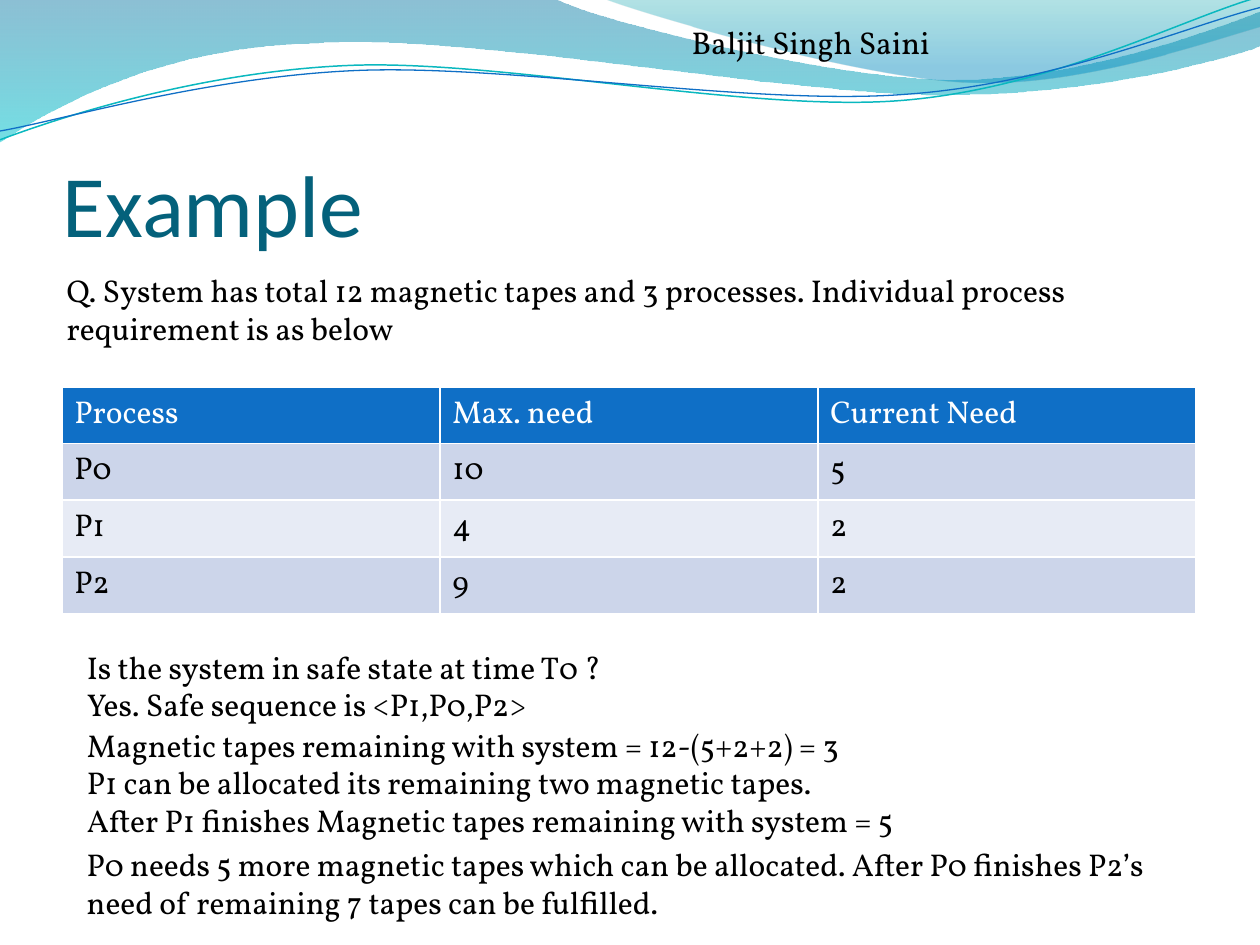
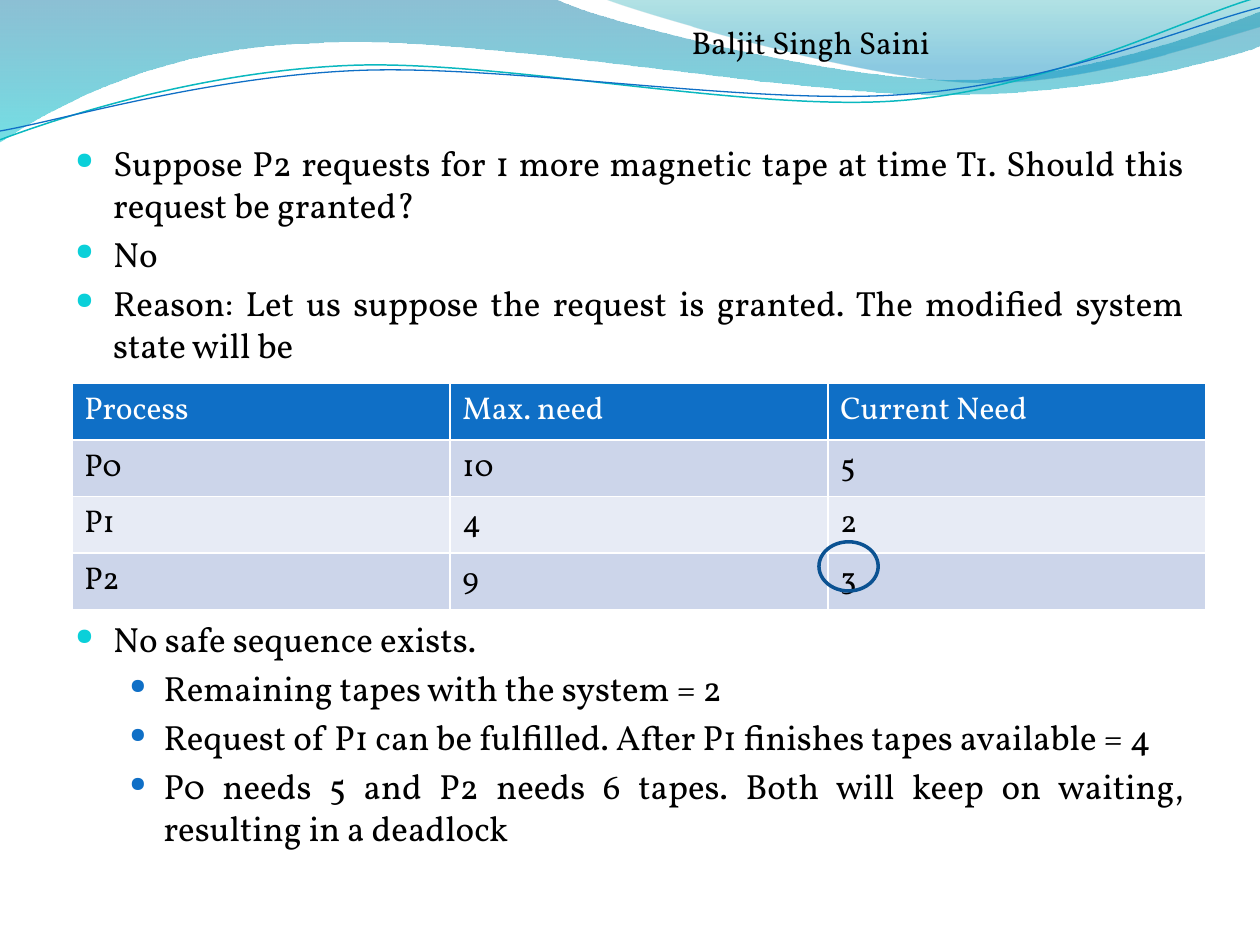
from dataclasses import dataclass

from lxml.etree import SubElement
from pptx import Presentation
from pptx.dml.color import RGBColor
from pptx.enum.shapes import MSO_SHAPE
from pptx.enum.text import MSO_ANCHOR, MSO_AUTO_SIZE, PP_ALIGN
from pptx.oxml.ns import qn
from pptx.util import Inches, Pt


@dataclass(frozen=True)
class Theme:
    heading_font: str = "Calibri"
    body_font: str = "Vollkorn"
    title_size: int = 50
    bullet_size: int = 20
    text_size: int = 18
    title: str = "04617B"
    text: str = "000000"
    header_text: str = "FFFFFF"
    header_fill: str = "0F6FC6"
    row_fills: tuple = ("CCD5EA", "E7EBF5")
    bullets: tuple = ("0BD0D9", "0F6FC6")
    ring: str = "0B5292"
    teal_line: str = "0AB8BF"
    blue_line: str = "0F6FC6"
    wide_band: tuple = ((0, "0074A1", 45), (1, "00C6CF", 55))
    right_band: tuple = ((0, "00A1A9", 30), (0.8, "008BBF", 45))


theme = Theme()


def add_run(paragraph, text, size, color=theme.text, font=theme.body_font):
    run = paragraph.add_run()
    run.text = text
    run.font.name = font
    run.font.size = Pt(size)
    run.font.bold = False
    run.font.color.rgb = RGBColor.from_string(color)


def add_text(slide, box, lines, size=theme.text_size, **style):
    frame = slide.shapes.add_textbox(*map(Inches, box)).text_frame
    frame.word_wrap = True
    frame.auto_size = MSO_AUTO_SIZE.SHAPE_TO_FIT_TEXT
    for index, line in enumerate(lines):
        paragraph = frame.add_paragraph() if index else frame.paragraphs[0]
        add_run(paragraph, line, size, **style)
    return frame


WAVES = [
    ([(0, 0), (4.4, -0.01),
      (4.76, 0.17, 6.64, 0.63, 7.58, 0.63),
      (8.53, 0.63, 9.58, 0.26, 10, 0.09),
      (10.01, 0.36),
      (9.83, 0.44, 8.7, 0.76, 7.46, 0.75),
      (6.22, 0.75, 3.82, 0.28, 2.57, 0.34),
      (1.29, 0.36, 0.46, 0.83, -0.01, 1.13)], theme.wide_band, None),
    ([(4.79, -0.01),
      (5.09, 0.11, 6.82, 0.62, 7.69, 0.65),
      (8.56, 0.69, 9.61, 0.32, 10, 0.21),
      (10, 0)], theme.right_band, None),
    ([(0, 1.11),
      (0.48, 0.93, 1.58, 0.57, 2.77, 0.52),
      (3.95, 0.47, 5.93, 0.89, 7.13, 0.8),
      (8.33, 0.71, 9.38, 0.15, 9.98, -0.02)], None, (theme.teal_line, 0.85)),
    ([(0, 1.04),
      (0.47, 0.96, 1.64, 0.61, 2.83, 0.56),
      (4.03, 0.51, 5.97, 0.84, 7.17, 0.75),
      (8.36, 0.67, 9.41, 0.21, 10, 0.06)], None, (theme.blue_line, 0.75)),
]

presentation = Presentation()
presentation.slide_width = Inches(10)
presentation.slide_height = Inches(7.5)
blank = presentation.slide_layouts[6]

slides = []
for table_left, table_top, p2_current in [(0.49, 3.07, "2"), (0.57, 3.04, "3")]:
    slide = presentation.slides.add_slide(blank)
    slides.append(slide)

    for segments, band, stroke in WAVES:
        corners = [(Inches(x), Inches(y)) for *_, x, y in segments]
        builder = slide.shapes.build_freeform(*corners[0])
        builder.add_line_segments(corners[1:], close=band is not None)
        wave = builder.convert_to_shape()
        wave.shadow.inherit = False
        for edge, segment in zip(list(wave.element.iter(qn("a:lnTo"))), segments[1:]):
            if len(segment) == 6:
                edge.tag = qn("a:cubicBezTo")
                edge.remove(edge[0])
                for x, y in zip(segment[::2], segment[1::2]):
                    SubElement(edge, qn("a:pt"), x=str(Inches(x) - wave.left),
                               y=str(Inches(y) - wave.top))
        if band:
            wave.line.fill.background()
            wave.fill.gradient()
            wave.fill.gradient_angle = 270
            for stop, (position, color, _) in zip(wave.fill.gradient_stops, band):
                stop.position = position
                stop.color.rgb = RGBColor.from_string(color)
            for node, (_, _, opacity) in zip(wave.element.iter(qn("a:srgbClr")), band):
                SubElement(node, qn("a:alpha"), val=str(opacity * 1000))
        else:
            wave.fill.background()
            wave.line.color.rgb = RGBColor.from_string(stroke[0])
            wave.line.width = Pt(stroke[1])

    add_text(slide, (5.39, 0.13, 4.41, 0.4), ["Baljit Singh Saini"])

    needs = [("Process", "Max. need", "Current Need"),
             ("P0", "10", "5"), ("P1", "4", "2"), ("P2", "9", p2_current)]
    table = slide.shapes.add_table(4, 3, Inches(table_left), Inches(table_top),
                                   Inches(9), Inches(1.8)).table
    for row, values in enumerate(needs):
        for column, value in enumerate(values):
            cell = table.cell(row, column)
            cell.fill.solid()
            fill = theme.row_fills[(row - 1) % 2] if row else theme.header_fill
            cell.fill.fore_color.rgb = RGBColor.from_string(fill)
            add_run(cell.text_frame.paragraphs[0], value, theme.text_size,
                    theme.text if row else theme.header_text)

example, request = slides

title = add_text(example, (0.5, 0.77, 9, 1.25), ["Example"], theme.title_size,
                 color=theme.title, font=theme.heading_font)
title.auto_size = MSO_AUTO_SIZE.NONE
title.vertical_anchor = MSO_ANCHOR.BOTTOM
title.margin_left = title.margin_right = title.margin_bottom = 0

for box, lines in [
    ((0.43, 2.1, 8.98, 0.71),
     ["Q. System has total 12 magnetic tapes and 3 processes. "
      "Individual process requirement is as below"]),
    ((0.59, 5.09, 5.91, 0.4), ["Is the system in safe state at time T0 ?"]),
    ((0.59, 5.39, 5.91, 0.4), ["Yes. Safe sequence is <P1,P0,P2>"]),
    ((0.59, 5.71, 8.82, 1.01),
     ["Magnetic tapes remaining with system = 12-(5+2+2) = 3",
      "P1 can be allocated its remaining two magnetic tapes.",
      "After P1 finishes Magnetic tapes remaining with system = 5"]),
    ((0.59, 6.66, 9.06, 0.71),
     ["P0 needs 5 more magnetic tapes which can be allocated. "
      "After P0 finishes P2’s need of remaining 7 tapes can be fulfilled."]),
]:
    add_text(example, box, lines)

BULLET_LEVELS = [(0.3, -0.3, 66), (0.7, -0.27, 60)]
TABLE_GAP = 144
reasoning = [
    (0, 0, "Suppose P2 requests for 1 more magnetic tape at time T1. "
           "Should this request be granted?"),
    (0, 4, "No"),
    (0, 4, "Reason: Let us suppose the request is granted. "
           "The modified system state will be"),
    (0, TABLE_GAP, "No safe sequence exists."),
    (1, 4, "Remaining tapes with the system = 2"),
    (1, 4, "Request of P1 can be fulfilled. After P1 finishes tapes available = 4"),
    (1, 4, "P0 needs 5 and P2 needs 6 tapes. Both will keep on waiting, "
           "resulting in a deadlock"),
]
body = add_text(request, (0.5, 1.07, 9, 6.61), [text for *_, text in reasoning],
                theme.bullet_size)
body.auto_size = MSO_AUTO_SIZE.NONE
for paragraph, (level, gap, _) in zip(body.paragraphs, reasoning):
    margin, indent, bullet_percent = BULLET_LEVELS[level]
    properties = paragraph._p.get_or_add_pPr()
    properties.set("marL", str(Inches(margin)))
    properties.set("indent", str(Inches(indent)))
    bullet_color = SubElement(properties, qn("a:buClr"))
    SubElement(bullet_color, qn("a:srgbClr"), val=theme.bullets[level])
    SubElement(properties, qn("a:buSzPct"), val=str(bullet_percent * 1000))
    SubElement(properties, qn("a:buChar"), char="●")
    paragraph.level = level
    paragraph.alignment = PP_ALIGN.JUSTIFY
    paragraph.space_before = Pt(gap)

ring = request.shapes.add_shape(MSO_SHAPE.OVAL, Inches(6.5), Inches(4.3),
                                Inches(0.47), Inches(0.39))
ring.shadow.inherit = False
ring.fill.background()
ring.line.color.rgb = RGBColor.from_string(theme.ring)
ring.line.width = Pt(2)

presentation.save("out.pptx")
